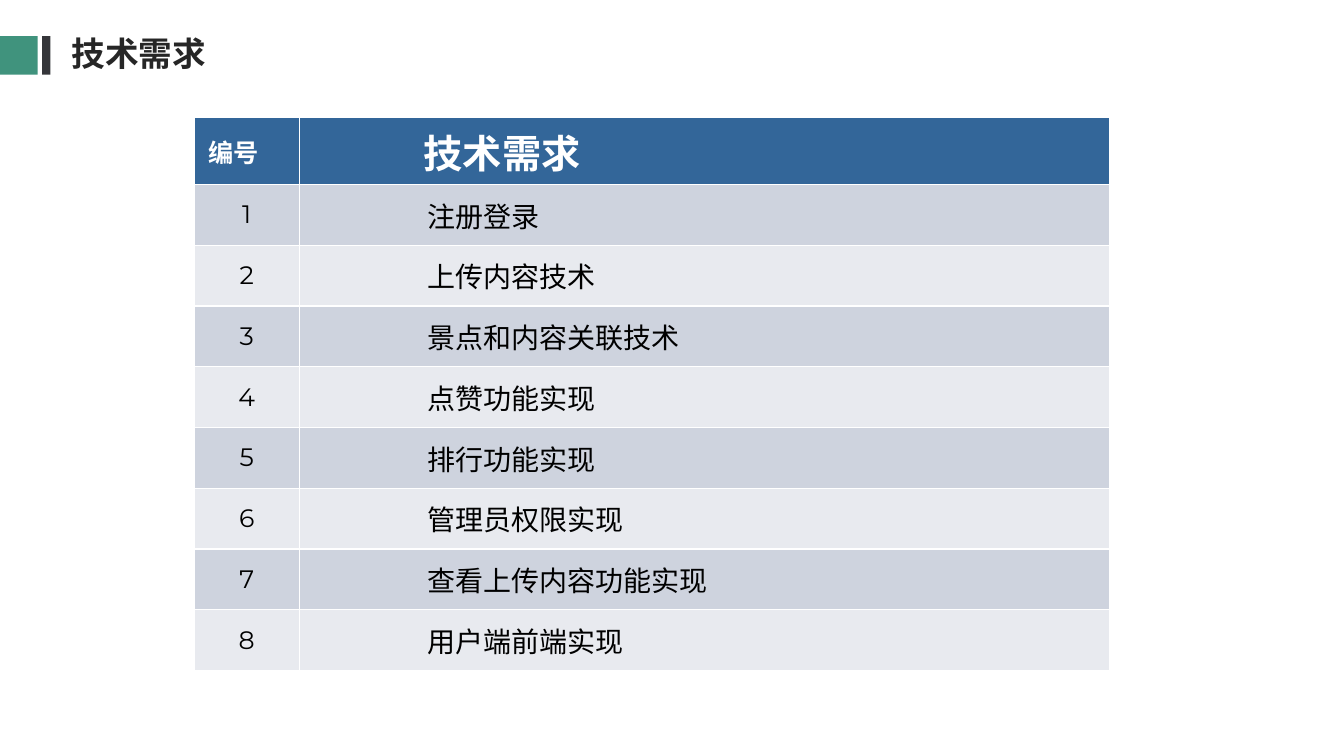
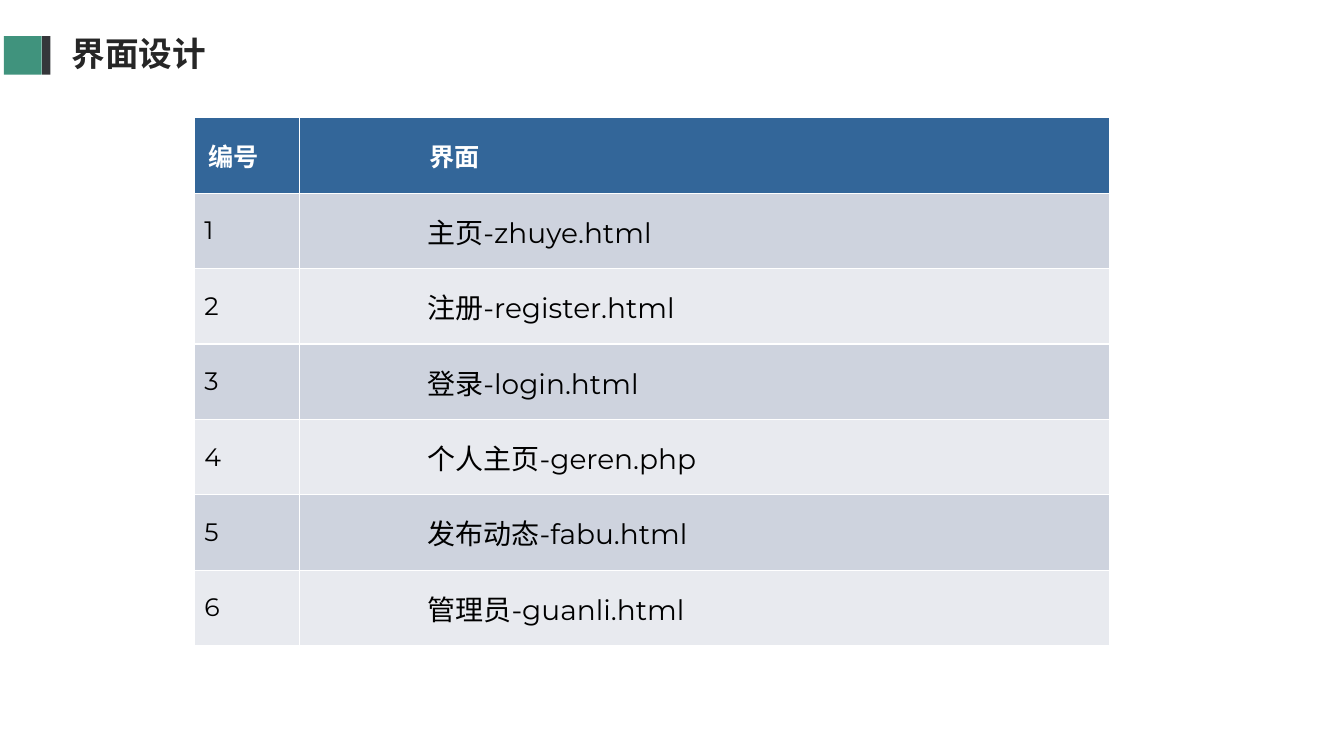
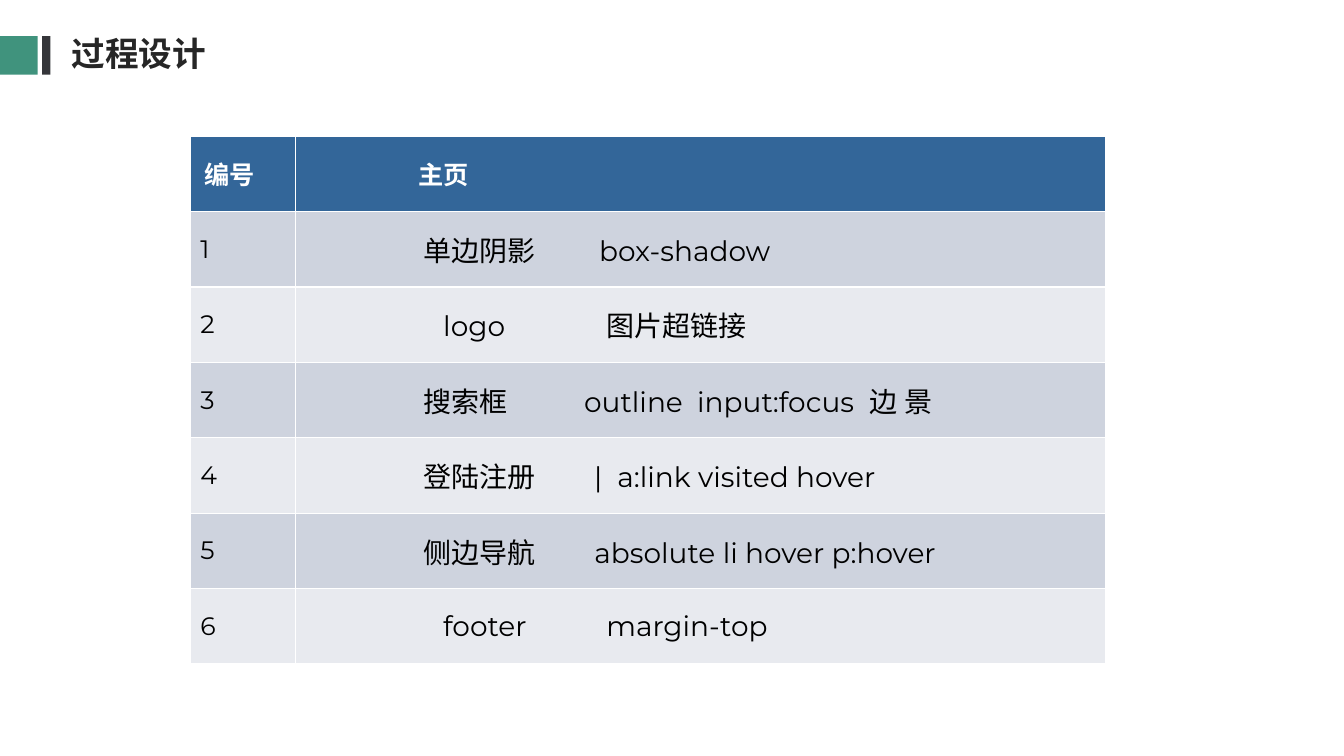
from lxml import etree
from pptx import Presentation
from pptx.dml.color import RGBColor
from pptx.enum.shapes import MSO_SHAPE
from pptx.enum.text import MSO_ANCHOR, MSO_AUTO_SIZE, PP_ALIGN
from pptx.oxml.ns import qn
from pptx.util import Cm, Pt

RECT = MSO_SHAPE.RECTANGLE
MIDDLE = MSO_ANCHOR.MIDDLE
LEFT, CENTER = PP_ALIGN.LEFT, PP_ALIGN.CENTER
FIXED = MSO_AUTO_SIZE.NONE

GREEN, DARK, INK = "40937D", "35363A", "262626"
BLUE, WHITE, BLACK = "336699", "FFFFFF", "000000"
BANDS = ["CED3DE", "E8EAEF"]
LATIN, HAN = "Montserrat", "Noto Sans CJK SC"

TITLE = {"name": HAN, "size": Pt(24), "bold": True}
HEAD = {"name": LATIN, "size": Pt(18), "bold": True}
NUMBER = {"name": LATIN, "size": Pt(18), "bold": False}
BODY = {"name": LATIN, "size": Pt(20), "bold": False}

COLS = [2.64, 20.42]
EDGE = 0.25       # usual left margin of a cell, cm
INDENT = 3.23     # left margin of the text column, cm
INSET = 3.73      # the same for rows set further in


def rgb(code):
    return RGBColor.from_string(code)


def write(frame, text, style, color, align=LEFT, stops=()):
    """Fill the first paragraph; stops are tab positions in cm."""
    para = frame.paragraphs[0]
    para.alignment = align
    if stops:
        tabs = etree.SubElement(para._p.get_or_add_pPr(), qn("a:tabLst"))
        for stop in stops:
            etree.SubElement(tabs, qn("a:tab"), pos=str(Cm(stop)), algn="l")
    run = para.add_run()
    run.text = text
    for key, value in style.items():
        setattr(run.font, key, value)
    run.font.color.rgb = rgb(color)
    etree.SubElement(run._r.get_or_add_rPr(), qn("a:ea"), typeface=HAN)


# Each row: text, left margin, tab positions from the cell edge
slides = [
    {
        "title": "技术需求", "bar": 0, "at": (4.9, 2.97), "row": 1.53,
        "head": ("技术需求", 3.14, 28), "align": CENTER,
        "rows": [(text, INDENT, ()) for text in (
            "注册登录", "上传内容技术", "景点和内容关联技术", "点赞功能实现",
            "排行功能实现", "管理员权限实现", "查看上传内容功能实现",
            "用户端前端实现")],
    },
    {
        "title": "界面设计", "bar": 0.1, "at": (4.9, 2.97), "row": 1.9,
        "head": ("界面", 3.28, 18), "align": LEFT,
        "rows": [(text, INDENT, ()) for text in (
            "主页-zhuye.html", "注册-register.html", "登录-login.html",
            "个人主页-geren.php", "发布动态-fabu.html",
            "管理员-guanli.html")],
    },
    {
        "title": "过程设计", "bar": 0, "at": (4.8, 3.43), "row": 1.9,
        "head": ("主页", 3.1, 18), "align": LEFT,
        "rows": [
            ("单边阴影\tbox-shadow", INDENT, (7.66,)),
            ("logo\t图片超链接", INSET, (7.85,)),
            ("搜索框\toutline\tinput:focus\t边 景", INDENT,
             (7.28, 10.13, 14.48)),
            ("登陆注册\t|\ta:link visited hover", INDENT, (7.53, 8.12)),
            ("侧边导航\tabsolute li hover p:hover", INDENT, (7.54,)),
            ("footer\tmargin-top", INSET, (7.84,)),
        ],
    },
]

deck = Presentation()
deck.slide_width, deck.slide_height = Cm(33.87), Cm(19.05)
layout = deck.slide_layouts[5]

for data in slides:
    slide = deck.slides.add_slide(layout)

    for left, width, color in [(data["bar"], 0.95, GREEN), (1.06, 0.21, DARK)]:
        bar = slide.shapes.add_shape(
            RECT, Cm(left), Cm(0.91), Cm(width), Cm(0.97))
        bar.shadow.inherit = False
        bar.fill.solid()
        bar.fill.fore_color.rgb = rgb(color)
        bar.line.fill.background()

    title = slide.shapes.title
    title.left, title.top = Cm(1.55), Cm(0.7)
    title.width, title.height = Cm(7.7), Cm(1.27)
    frame = title.text_frame
    frame.auto_size = FIXED
    frame.vertical_anchor = MIDDLE
    write(frame, data["title"], TITLE, INK)

    rows = data["rows"]
    count = len(rows) + 1
    left, top = data["at"]
    table = slide.shapes.add_table(
        count, 2, Cm(left), Cm(top), Cm(sum(COLS)),
        Cm(data["row"] * count)).table
    for col, width in zip(table.columns, COLS):
        col.width = Cm(width)
    for row in table.rows:
        row.height = Cm(data["row"])

    for i in range(count):
        for cell in table.rows[i].cells:
            cell.vertical_anchor = MIDDLE
            cell.fill.solid()
            cell.fill.fore_color.rgb = rgb(BANDS[(i - 1) % 2] if i else BLUE)

    label, indent, size = data["head"]
    number, name = table.rows[0].cells
    number.margin_left, name.margin_left = Cm(0.35), Cm(indent)
    write(number.text_frame, "编号", HEAD, WHITE)
    write(name.text_frame, label, HEAD | {"size": Pt(size)}, WHITE)

    for i, (text, indent, stops) in enumerate(rows, 1):
        number, name = table.rows[i].cells
        number.margin_left, name.margin_left = Cm(EDGE), Cm(indent)
        write(number.text_frame, str(i), NUMBER, BLACK, data["align"])
        write(name.text_frame, text, BODY, BLACK,
              stops=[stop - indent for stop in stops])

deck.save("out.pptx")
